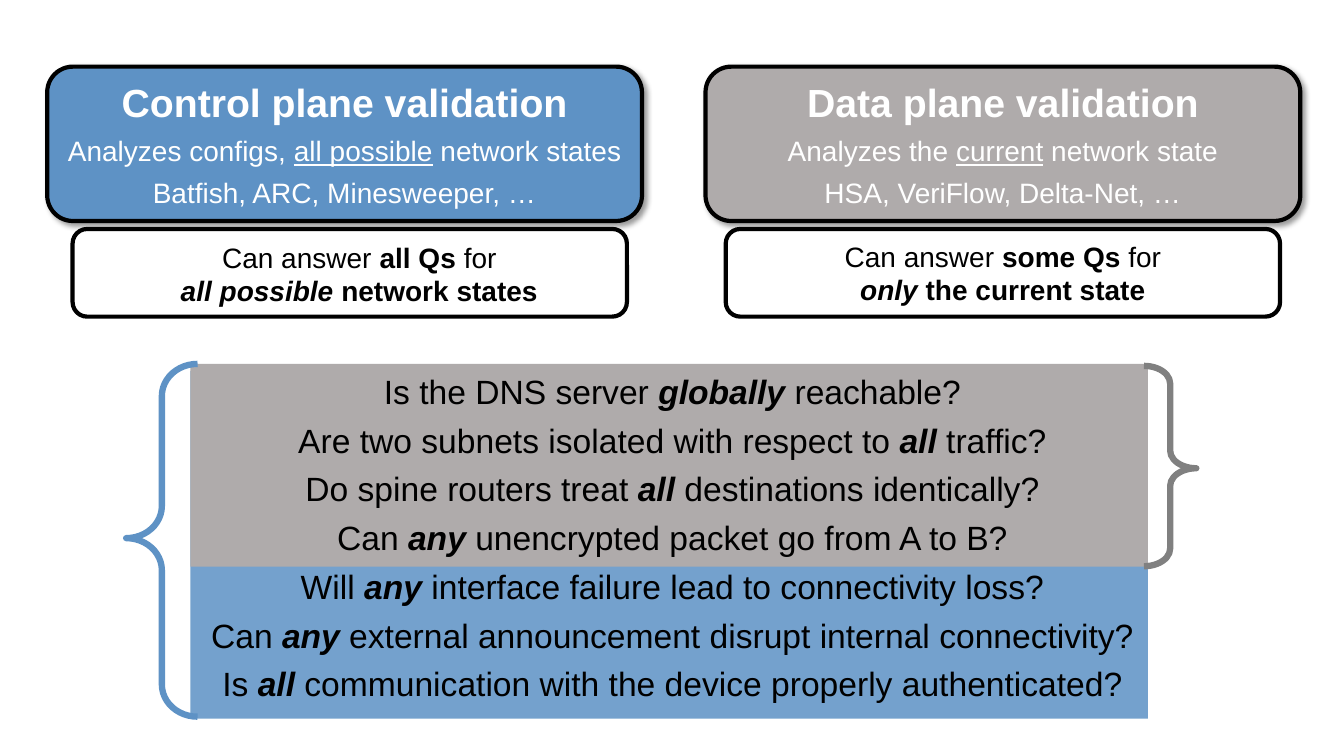
import pptx
import pptx.dml.color
import pptx.enum.shapes
import pptx.enum.text
import pptx.oxml
import pptx.oxml.ns
import pptx.util
from pptx.util import Cm

SHAPES = pptx.enum.shapes.MSO_SHAPE
ANCHOR = pptx.enum.text.MSO_ANCHOR

THEME = {
    "font": "Arial", "blue": "5E92C5", "gray": "AFABAB", "brace_gray": "808080",
    "black": "000000", "white": "FFFFFF",
    "title": 28, "body": 20, "question": 24, "outline": 3, "brace": 4.5, "gap": 6,
}
PLAIN = {}
BOLD = {"bold": True}
STRONG = {"bold": True, "italic": True}
UNDERLINE = {"underline": True}

COLUMNS = [
    {
        "left": 1.19, "color": "blue", "title": "Control plane validation",
        "summary": [("Analyzes configs, ", PLAIN), ("all possible", UNDERLINE), (" network states", PLAIN)],
        "tools": "Batfish, ARC, Minesweeper, …",
        "answer_left": 1.83, "anchor": ANCHOR.BOTTOM, "indent": 0.48,
        "answer": [("Can answer ", PLAIN), ("all Qs ", BOLD), ("for", PLAIN), ("\n", PLAIN),
                   ("all possible", STRONG), (" network states", BOLD)],
    },
    {
        "left": 17.78, "color": "gray", "title": "Data plane validation",
        "summary": [("Analyzes the ", PLAIN), ("current", UNDERLINE), (" network state", PLAIN)],
        "tools": "HSA, VeriFlow, Delta-Net, …",
        "answer_left": 18.29, "anchor": ANCHOR.MIDDLE, "indent": 0,
        "answer": [("Can answer ", PLAIN), ("some Qs ", BOLD), ("for", PLAIN), ("\n", PLAIN),
                   ("only", STRONG), (" the current state", BOLD)],
    },
]
QUESTIONS = [
    ("Is the DNS server ", "globally", " reachable?"),
    ("Are two subnets isolated with respect to ", "all", " traffic?"),
    ("Do spine routers treat ", "all", " destinations identically?"),
    ("Can ", "any", " unencrypted packet go from A to B?"),
    ("Will ", "any", " interface failure lead to connectivity loss?"),
    ("Can ", "any", " external announcement disrupt internal connectivity?"),
    ("Is ", "all", " communication with the device properly authenticated?"),
]
BANDS = [("blue", 9.35, 8.76, 86), ("gray", 9.17, 5.11, 100)]
BRACES = [
    (SHAPES.RIGHT_BRACE, (28.83, 9.22, 1.32, 5.05), (0.338, 0.511), "brace_gray"),
    (SHAPES.LEFT_BRACE, (3.18, 9.17, 1.8, 8.89), (0.449, 0.494), "blue"),
]


def rgb(name):
    return pptx.dml.color.RGBColor.from_string(THEME[name])


def add_shape(slide, kind, box, fill=None, line=None, width=0):
    shape = slide.shapes.add_shape(kind, *map(Cm, box))
    shape.shadow.inherit = False
    if fill:
        shape.fill.solid()
        shape.fill.fore_color.rgb = rgb(fill)
    else:
        shape.fill.background()
    if line:
        shape.line.color.rgb = rgb(line)
        shape.line.width = pptx.util.Pt(width)
    else:
        shape.line.fill.background()
    return shape


def add_shadow(shape):
    effects = shape._element.spPr.find(pptx.oxml.ns.qn("a:effectLst"))
    effects.append(pptx.oxml.parse_xml(
        f'<a:outerShdw {pptx.oxml.ns.nsdecls("a")} blurRad="50800" dist="38100" dir="2700000" '
        f'algn="tl" rotWithShape="0"><a:srgbClr val="{THEME["black"]}">'
        '<a:alpha val="40000"/></a:srgbClr></a:outerShdw>'))


def set_opacity(shape, percent):
    color = shape._element.spPr.find(".//" + pptx.oxml.ns.qn("a:srgbClr"))
    color.append(pptx.oxml.parse_xml(
        f'<a:alpha {pptx.oxml.ns.nsdecls("a")} val="{percent * 1000}"/>'))


def write(shape, lines, color, anchor, indent=0):
    frame = shape.text_frame
    frame.word_wrap = True
    frame.vertical_anchor = anchor
    for index, (size, runs) in enumerate(lines):
        paragraph = frame.paragraphs[0] if index == 0 else frame.add_paragraph()
        paragraph.alignment = pptx.enum.text.PP_ALIGN.CENTER
        if index:
            paragraph.space_before = pptx.util.Pt(THEME["gap"])
        if indent:
            paragraph._p.get_or_add_pPr().set("marL", str(Cm(indent)))
        for text, style in runs:
            if text == "\n":
                paragraph.add_line_break()
                continue
            run = paragraph.add_run()
            run.text = text
            run.font.color.rgb = rgb(color)
            formats = {"name": THEME["font"], "size": pptx.util.Pt(THEME[size]), **style}
            for attribute, value in formats.items():
                setattr(run.font, attribute, value)


def add_column(slide, column):
    panel = add_shape(slide, SHAPES.ROUNDED_RECTANGLE, (column["left"], 1.68, 14.99, 3.89),
                      column["color"], "black", THEME["outline"])
    add_shadow(panel)
    lines = [("title", [(column["title"], BOLD)]), ("body", column["summary"]),
             ("body", [(column["tools"], PLAIN)])]
    write(panel, lines, "white", ANCHOR.MIDDLE)
    answer = add_shape(slide, SHAPES.ROUNDED_RECTANGLE, (column["answer_left"], 5.77, 13.97, 2.21),
                       None, "black", THEME["outline"])
    write(answer, [("body", column["answer"])], "black", column["anchor"], column["indent"])


def add_questions(slide):
    for color, top, height, opacity in BANDS:
        band = add_shape(slide, SHAPES.RECTANGLE, (4.8, top, 24.13, height), color)
        if opacity < 100:
            set_opacity(band, opacity)
    box = slide.shapes.add_textbox(*map(Cm, (3.89, 9.22, 26.11, 8.71)))
    lines = [("question", zip(question, (PLAIN, STRONG, PLAIN))) for question in QUESTIONS]
    write(box, lines, "black", ANCHOR.TOP)
    box.text_frame.auto_size = pptx.enum.text.MSO_AUTO_SIZE.SHAPE_TO_FIT_TEXT
    for kind, place, adjustments, color in BRACES:
        brace = add_shape(slide, kind, place, None, color, THEME["brace"])
        for index, value in enumerate(adjustments):
            brace.adjustments[index] = value


def main():
    presentation = pptx.Presentation()
    presentation.slide_width = Cm(33.87)
    presentation.slide_height = Cm(19.05)
    slide = presentation.slides.add_slide(presentation.slide_layouts[6])
    for column in COLUMNS:
        add_column(slide, column)
    add_questions(slide)
    presentation.save("out.pptx")


if __name__ == "__main__":
    main()
